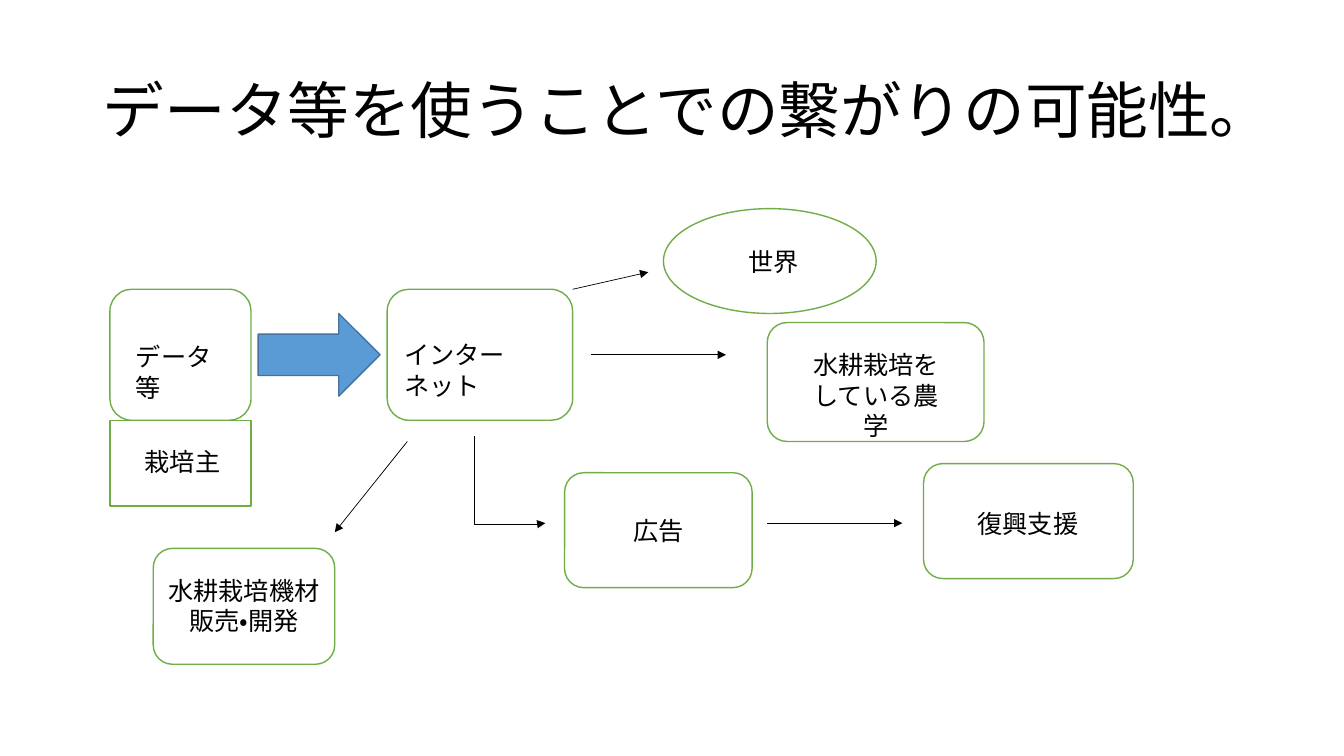
"""Build a slide showing how grower data can connect through the internet."""
import pptx
import pptx.dml.color
import pptx.enum.dml
import pptx.enum.lang
import pptx.enum.shapes
import pptx.enum.text
import pptx.oxml
import pptx.oxml.ns
import pptx.util
from dataclasses import dataclass

SHAPE = pptx.enum.shapes.MSO_SHAPE
CONNECTOR = pptx.enum.shapes.MSO_CONNECTOR
ALIGN = pptx.enum.text.PP_ALIGN
ANCHOR = pptx.enum.text.MSO_ANCHOR
FIT = pptx.enum.text.MSO_AUTO_SIZE


@dataclass(frozen=True)
class Theme:
    font: str = "Calibri"
    title_size: int = 44
    label_size: int = 18
    ink: str = "000000"
    paper: str = "FFFFFF"
    outline: str = "70AD47"
    arrow: str = "5B9BD5"
    arrow_edge: str = "43739E"
    outline_width: float = 1
    link_width: float = 0.5


THEME = Theme()
PX = pptx.util.Inches(1) // 100
PAGE_SIZE = (1333, 750)

TITLE = "データ等を使うことでの繋がりの可能性。"
TITLE_BOX = (92, 40, 1150, 145)

NODES = [
    (SHAPE.RECTANGLE, (109, 417, 140, 85), ["栽培主"], (114, 438, 134, 40), ALIGN.CENTER),
    (SHAPE.ROUNDED_RECTANGLE, (384, 287, 184, 130), ["インターネット"], (391, 332, 169, 40), ALIGN.LEFT),
    (SHAPE.OVAL, (658, 207, 211, 104), ["世界"], (696, 239, 143, 40), ALIGN.CENTER),
    (SHAPE.ROUNDED_RECTANGLE, (761, 320, 215, 118), ["水耕栽培を", "している農学"], (786, 342, 166, 71), ALIGN.CENTER),
    (SHAPE.ROUNDED_RECTANGLE, (152, 544, 180, 115), ["水耕栽培機材", "販売・開発"], (152, 566, 180, 71), ALIGN.CENTER),
    (SHAPE.ROUNDED_RECTANGLE, (109, 287, 140, 130), ["データ等"], (125, 334, 113, 40), ALIGN.LEFT),
    (SHAPE.ROUNDED_RECTANGLE, (560, 469, 186, 114), ["広告"], (591, 506, 124, 40), ALIGN.CENTER),
    (SHAPE.ROUNDED_RECTANGLE, (916, 460, 208, 114), ["復興支援"], (948, 499, 143, 40), ALIGN.CENTER),
]
DATA_ARROW = (256, 311, 121, 82)

LINKS = [
    ((568, 287), (643, 270)),
    ((586, 352), (720, 352)),
    ((404, 438), (332, 528)),
    ((761, 519), (895, 519)),
]
ADVERT_LINK = ((471, 433), (541, 519))
ELBOW_BEND = 101100


def emu(lengths):
    return [length * PX for length in lengths]


def rgb(value):
    return pptx.dml.color.RGBColor.from_string(value)


def apply(target, values):
    for name, value in values.items():
        setattr(target, name, value)


def write(frame, lines, size, para_format, frame_format):
    apply(frame, frame_format)
    for index, line in enumerate(lines):
        para = frame.add_paragraph() if index else frame.paragraphs[0]
        apply(para, para_format)
        span = para.add_run()
        span.text = line
        apply(span.font, {"name": THEME.font, "size": pptx.util.Pt(size),
                          "language_id": pptx.enum.lang.MSO_LANGUAGE_ID.JAPANESE})
        span.font.color.rgb = rgb(THEME.ink)


def add_box(page, kind, place, fill, edge):
    box = page.shapes.add_shape(kind, *emu(place))
    box.shadow.inherit = False
    box.fill.solid()
    box.fill.fore_color.rgb = rgb(fill)
    box.line.color.rgb = rgb(edge)
    box.line.width = pptx.util.Pt(THEME.outline_width)


def add_link(page, kind, start, end):
    link = page.shapes.add_connector(kind, *emu(start + end))
    link.line.color.rgb = rgb(THEME.ink)
    link.line.width = pptx.util.Pt(THEME.link_width)
    tag = pptx.oxml.ns.qn
    tail = link.line._ln.makeelement(tag("a:tailEnd"), {"type": "triangle"})
    link.line._ln.append(tail)
    properties = link._element.spPr
    properties.append(properties.makeelement(tag("a:effectLst"), {}))
    return link


def add_down_then_right(page, start, end):
    across, down = end[0] - start[0], end[1] - start[1]
    left = (start[0] + end[0] - down) // 2
    top = (start[1] + end[1] - across) // 2
    link = add_link(page, CONNECTOR.ELBOW, (left, top), (left + down, top + across))
    apply(link._element.spPr.xfrm, {"rot": 270, "flipH": True})
    geometry = link._element.spPr.find(pptx.oxml.ns.qn("a:prstGeom"))
    guides = geometry.find(pptx.oxml.ns.qn("a:avLst"))
    guide = guides.makeelement(pptx.oxml.ns.qn("a:gd"),
                               {"name": "adj1", "fmla": f"val {ELBOW_BEND}"})
    guides.append(guide)


def main():
    deck = pptx.Presentation()
    deck.slide_width, deck.slide_height = emu(PAGE_SIZE)
    page = deck.slides.add_slide(deck.slide_layouts[5])

    title = page.shapes.title
    apply(title, dict(zip(("left", "top", "width", "height"), emu(TITLE_BOX))))
    write(title.text_frame, [TITLE], THEME.title_size,
          {"alignment": ALIGN.LEFT, "line_spacing": 0.9},
          {"word_wrap": True, "vertical_anchor": ANCHOR.MIDDLE, "auto_size": FIT.NONE})

    for kind, place, lines, label_place, alignment in NODES:
        add_box(page, kind, place, THEME.paper, THEME.outline)
        label = page.shapes.add_textbox(*emu(label_place))
        write(label.text_frame, lines, THEME.label_size, {"alignment": alignment},
              {"word_wrap": True, "vertical_anchor": ANCHOR.TOP,
               "auto_size": FIT.SHAPE_TO_FIT_TEXT})

    add_box(page, SHAPE.RIGHT_ARROW, DATA_ARROW, THEME.arrow, THEME.arrow_edge)
    for start, end in LINKS:
        add_link(page, CONNECTOR.STRAIGHT, start, end)
    add_down_then_right(page, *ADVERT_LINK)
    deck.save("out.pptx")


if __name__ == "__main__":
    main()
